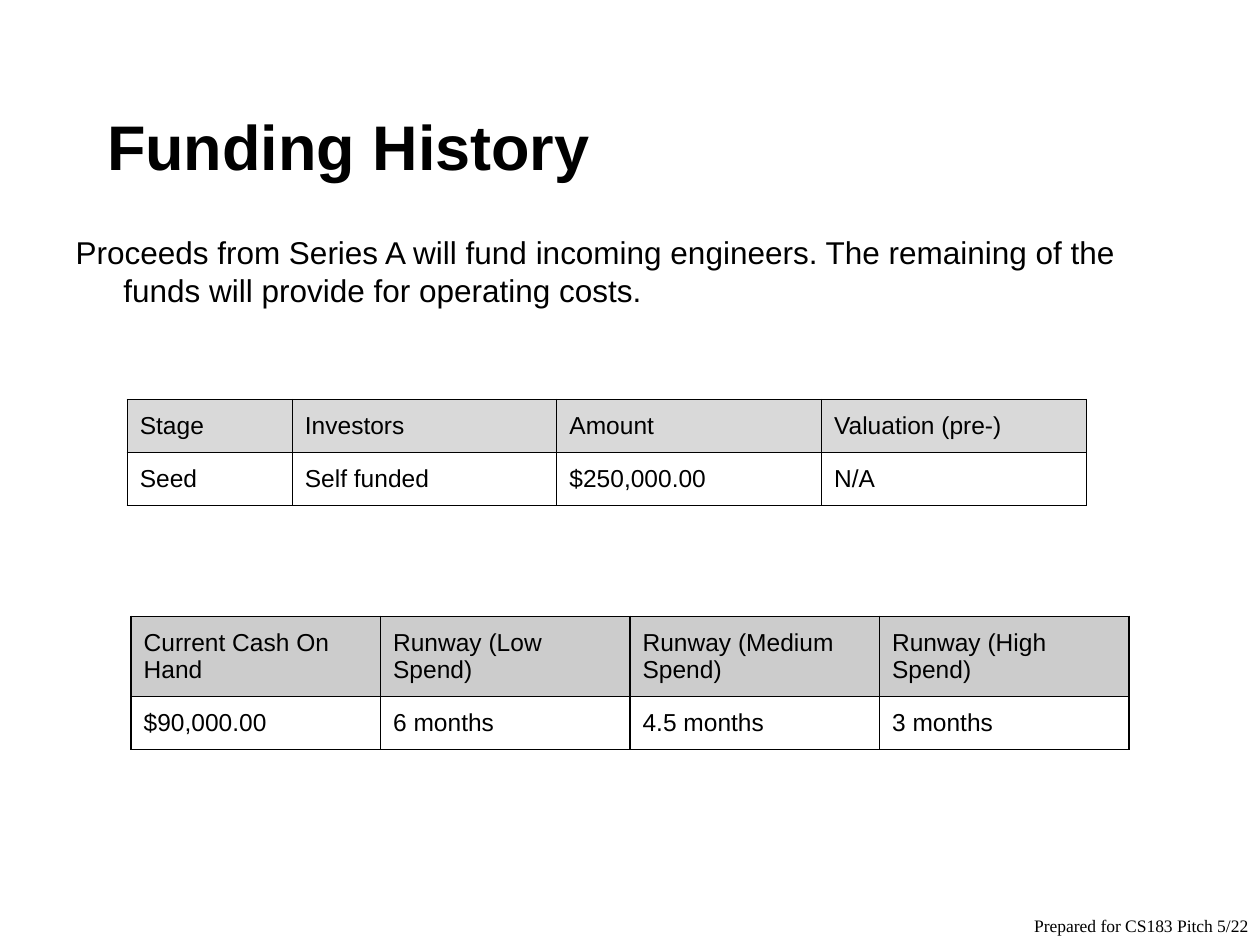
from lxml.etree import SubElement
from pptx import Presentation
from pptx.dml.color import RGBColor
from pptx.enum.text import MSO_ANCHOR, MSO_AUTO_SIZE, PP_ALIGN
from pptx.oxml.ns import qn
from pptx.util import Inches, Pt

BLACK = RGBColor(0x00, 0x00, 0x00)
LIGHT_GRAY = RGBColor(0xD9, 0xD9, 0xD9)
MID_GRAY = RGBColor(0xCC, 0xCC, 0xCC)


class SlideBuilder:
    """Holds the text style and the current slide, and adds elements to it."""

    font = "Arial"
    color = BLACK
    inset = Inches(0.1)
    border = Pt(0.75)

    def __init__(self, slide):
        self.s = slide

    def run(self, p, text, size, bold=False, font=None):
        r = p.add_run()
        r.text = text
        r.font.name = font or self.font
        r.font.size = Pt(size)
        r.font.bold = bold
        r.font.color.rgb = self.color

    def placeholder(self, idx, box, text, size, anchor, margin, indent, before=0, bold=False):
        sp = self.s.placeholders[idx]
        sp.left, sp.top, sp.width, sp.height = map(Inches, box)
        tf = sp.text_frame
        tf.word_wrap = True
        tf.auto_size = MSO_AUTO_SIZE.NONE
        tf.vertical_anchor = anchor
        tf.margin_left = tf.margin_right = tf.margin_top = tf.margin_bottom = self.inset
        p = tf.paragraphs[0]
        p.alignment = PP_ALIGN.LEFT
        p.space_before = Pt(before)
        pPr = p._p.get_or_add_pPr()
        pPr.set("marL", str(Inches(margin)))
        pPr.set("indent", str(Inches(indent)))
        SubElement(pPr, qn("a:buNone"))
        self.run(p, text, size, bold)

    def borders(self, cell):
        tcPr = cell._tc.get_or_add_tcPr()
        for side in ("lnL", "lnR", "lnT", "lnB"):
            ln = SubElement(tcPr, qn(f"a:{side}"), w=str(self.border))
            fill = SubElement(ln, qn("a:solidFill"))
            SubElement(fill, qn("a:srgbClr"), val=str(self.color))

    def table(self, left, top, widths, row_height, rows, header_fill):
        gf = self.s.shapes.add_table(
            len(rows), len(widths), Inches(left), Inches(top),
            Inches(sum(widths)), Inches(row_height * len(rows)))
        tbl = gf.table
        tbl.first_row = tbl.horz_banding = False
        for col, width in zip(tbl.columns, widths):
            col.width = Inches(width)
        for i, row in enumerate(rows):
            tbl.rows[i].height = Inches(row_height)
            for j, text in enumerate(row):
                cell = tbl.cell(i, j)
                cell.margin_left = cell.margin_right = self.inset
                cell.margin_top = cell.margin_bottom = self.inset
                self.borders(cell)
                if i == 0:
                    cell.fill.solid()
                    cell.fill.fore_color.rgb = header_fill
                else:
                    cell.fill.background()
                self.run(cell.text_frame.paragraphs[0], text, 14)

    def text(self, box, text, size, font):
        tf = self.s.shapes.add_textbox(*map(Inches, box)).text_frame
        tf.word_wrap = True
        self.run(tf.paragraphs[0], text, size, font=font)


def main():
    prs = Presentation()
    prs.slide_width, prs.slide_height = Inches(10), Inches(7.5)
    b = SlideBuilder(prs.slides.add_slide(prs.slide_layouts[1]))

    b.placeholder(0, (0.5, 0.3, 9, 1.25), "Funding History", 36,
                  MSO_ANCHOR.BOTTOM, margin=0, indent=0.25, bold=True)
    b.placeholder(1, (0.5, 1.75, 9, 5.43),
                  "Proceeds from Series A will fund incoming engineers. "
                  "The remaining of the funds will provide for operating costs.",
                  18, MSO_ANCHOR.TOP, margin=0.38, indent=-0.38, before=6)

    runway = [
        ["Current Cash On Hand", "Runway (Low Spend)", "Runway (Medium Spend)", "Runway (High Spend)"],
        ["$90,000.00", "6 months", "4.5 months", "3 months"],
    ]
    b.table(1.04, 4.89, [1.98] * 4, 0.42, runway, MID_GRAY)

    funding = [
        ["Stage", "Investors", "Amount", "Valuation (pre-)"],
        ["Seed", "Self funded", "$250,000.00", "N/A"],
    ]
    b.table(1.01, 3.17, [1.31] + [2.1] * 3, 0.42, funding, LIGHT_GRAY)

    b.text((8.11, 7.21, 2.07, 0.27), "Prepared for CS183 Pitch 5/22", 10, "Times New Roman")
    prs.save("out.pptx")


if __name__ == "__main__":
    main()
